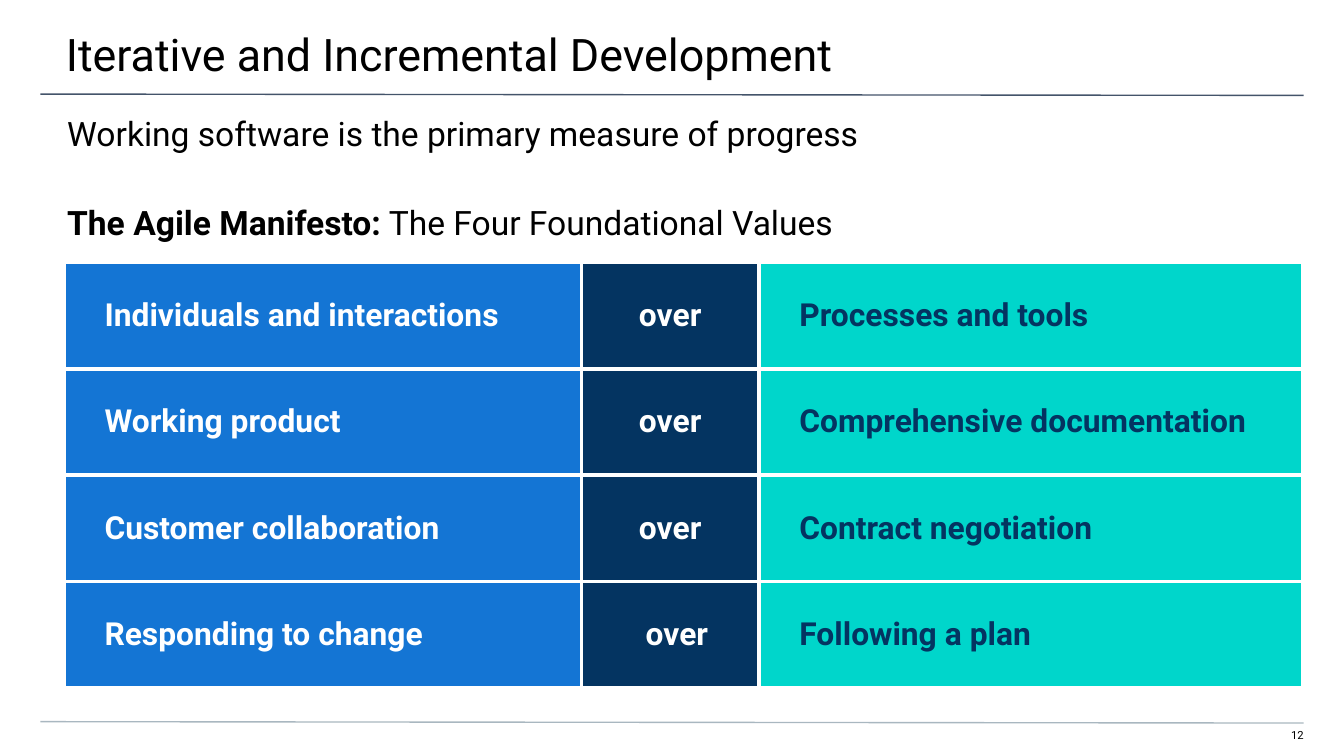
from lxml import etree
from pptx import Presentation
from pptx.dml.color import RGBColor
from pptx.enum.shapes import MSO_CONNECTOR as Connector
from pptx.enum.text import MSO_ANCHOR as Anchor, MSO_AUTO_SIZE as AutoSize, PP_ALIGN as Align
from pptx.oxml import parse_xml
from pptx.oxml.ns import nsdecls, qn
from pptx.util import Inches, Pt

BLACK = RGBColor(0x00, 0x00, 0x00)
WHITE = RGBColor(0xFF, 0xFF, 0xFF)
SLATE = RGBColor(0x44, 0x54, 0x6A)
MIST = RGBColor(0xA9, 0xB7, 0xC0)
BLUE = RGBColor(0x14, 0x75, 0xD4)
NAVY = RGBColor(0x04, 0x34, 0x61)
TEAL = RGBColor(0x00, 0xD6, 0xCB)

UNIT = 0.1  # inches in one grid column or row


def grid(count):
    return Inches(count * UNIT)


class SlideBuilder:
    """Holds the style and the current slide; lengths are grid units."""

    font = "Roboto"

    def __init__(self, deck, layout):
        self.page = deck.slides.add_slide(deck.slide_layouts[layout])

    def style(self, item, size, color, bold=False):
        item.font.name = self.font
        item.font.size = Pt(size)
        item.font.color.rgb = color
        item.font.bold = bold

    def insets(self, holder, left, top, right, bottom):
        holder.margin_left, holder.margin_top = grid(left), grid(top)
        holder.margin_right, holder.margin_bottom = grid(right), grid(bottom)

    def fill_text(self, box, parts, size, insets, align=Align.LEFT):
        frame = box.text_frame
        frame.word_wrap = True
        frame.auto_size = AutoSize.NONE
        frame.vertical_anchor = Anchor.TOP
        self.insets(frame, *insets)
        para = frame.paragraphs[0]
        para.alignment = align
        para.space_before = Pt(0)
        for words, bold in parts:
            span = para.add_run()
            span.text = words
            self.style(span, size, BLACK, bold)
        return para

    def place(self, box, left, top, width, height):
        box.left, box.top = grid(left), grid(top)
        box.width, box.height = grid(width), grid(height)

    def title(self, words, area):
        box = self.page.shapes.title
        self.place(box, *area)
        self.fill_text(box, [(words, False)], 24, (5, 2, 3, 1))

    def body(self, index, parts, area):
        box = self.page.placeholders[index]
        self.place(box, *area)
        para = self.fill_text(box, parts, 18, (5, 1, 5, 0))
        props = para._p.get_or_add_pPr()
        props.set("marL", "0")
        props.set("indent", "0")
        etree.SubElement(props, qn("a:buNone"))

    def page_number(self, words, area):
        box = self.page.shapes.add_textbox(*map(grid, area))
        self.fill_text(box, [(words, False)], 6, (0, 0, 0, 1), Align.RIGHT)

    def rule(self, top, color):
        line = self.page.shapes.add_connector(
            Connector.STRAIGHT, grid(3), grid(top), grid(97), grid(top + 0.1))
        line.line.color.rgb = color
        line.line.width = Pt(0.75)
        etree.SubElement(line._element.spPr, qn("a:effectLst"))

    def cell(self, cell, words, fill, color, align, insets):
        props = cell._tc.get_or_add_tcPr()
        for side in ("lnL", "lnR", "lnT", "lnB"):
            props.append(parse_xml(
                f'<a:{side} {nsdecls("a")} w="{Pt(2.25)}"><a:solidFill>'
                f'<a:srgbClr val="{WHITE}"/></a:solidFill></a:{side}>'))
        cell.fill.solid()
        cell.fill.fore_color.rgb = fill
        cell.vertical_anchor = Anchor.MIDDLE
        self.insets(cell, *insets)
        cell.text_frame.text = words
        para = cell.text_frame.paragraphs[0]
        para.alignment = align
        self.style(para.runs[0], 17, color, True)

    def value_table(self, pairs, left, top, widths, row_height):
        table = self.page.shapes.add_table(
            len(pairs), len(widths), grid(left), grid(top),
            grid(sum(widths)), grid(row_height * len(pairs))).table
        table.first_row = table.horz_banding = False
        for column, width in zip(table.columns, widths):
            column.width = grid(width)
        for number, (favored, other) in enumerate(pairs):
            table.rows[number].height = grid(row_height)
            # The last "over" sits slightly to the right
            right = 1 if number == len(pairs) - 1 else 2
            looks = [
                (favored, BLUE, WHITE, Align.LEFT, (3, 1, 1, 1)),
                ("over", NAVY, WHITE, Align.CENTER, (2, 1, right, 1)),
                (other, TEAL, NAVY, Align.LEFT, (3, 1, 1, 1)),
            ]
            for column, look in enumerate(looks):
                self.cell(table.cell(number, column), *look)


def main():
    deck = Presentation()
    deck.slide_width, deck.slide_height = grid(100), grid(56.25)  # 16:9
    slide = SlideBuilder(deck, layout=3)  # title and two bodies

    # Page frame
    slide.page_number("12", (94.1, 54.2, 2.9, 1.2))
    slide.rule(7, SLATE)
    slide.rule(53.7, MIST)

    # Headings
    slide.title("Iterative and Incremental Development", (-0.1, 0, 100.3, 5.8))
    slide.body(1, [("Working software is the primary measure of progress", False)],
               (0, 7.4, 100, 4))
    slide.body(2, [("The Agile Manifesto:", True),
                   (" The Four Foundational Values", False)],
               (0, 14.05, 100, 4))

    # The four values
    slide.value_table([
        ("Individuals and interactions", "Processes and tools"),
        ("Working product", "Comprehensive documentation"),
        ("Customer collaboration", "Contract negotiation"),
        ("Responding to change", "Following a plan"),
    ], left=4.78, top=19.52, widths=(38.48, 13.22, 40.5), row_height=7.92)

    deck.save("out.pptx")


if __name__ == "__main__":
    main()
